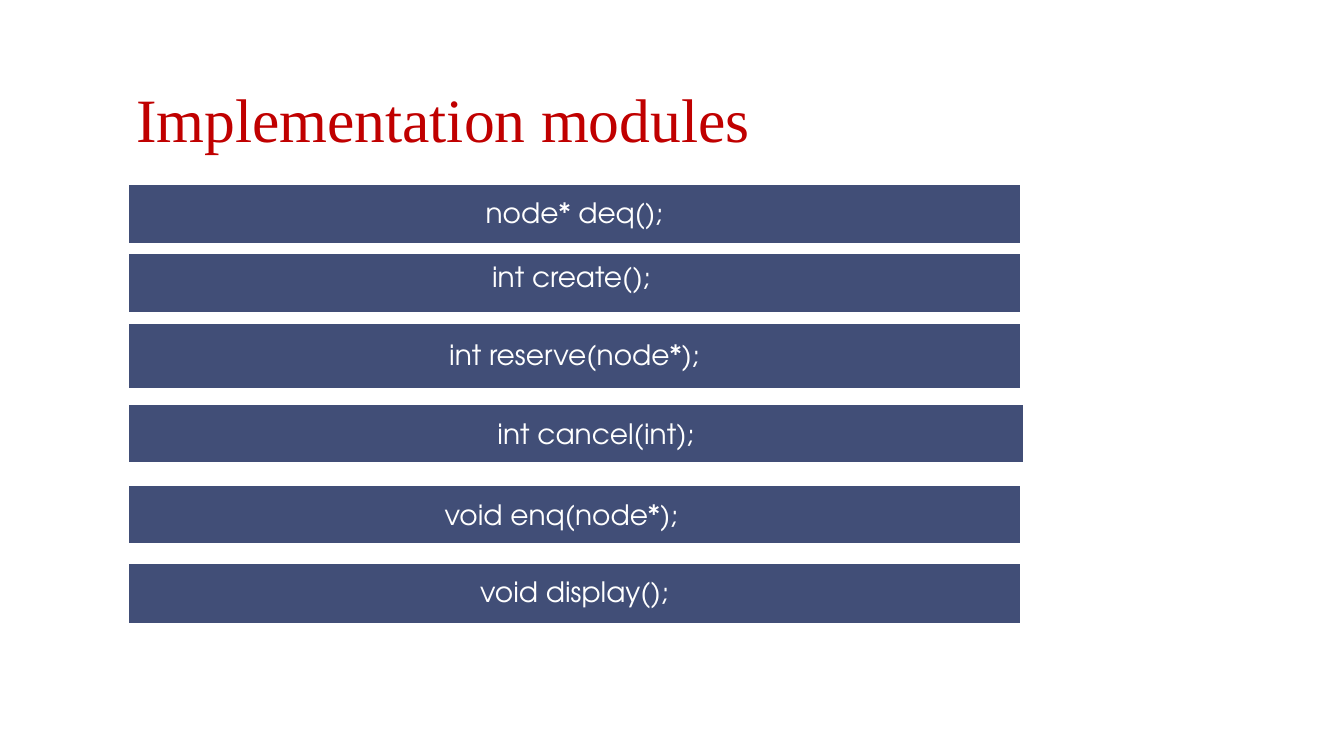
from pptx import Presentation
from pptx.dml.color import RGBColor
from pptx.enum.shapes import MSO_SHAPE
from pptx.enum.text import MSO_ANCHOR, PP_ALIGN
from pptx.util import Cm, Pt

RECT = MSO_SHAPE.RECTANGLE
TOP, MID, LOW = MSO_ANCHOR.TOP, MSO_ANCHOR.MIDDLE, MSO_ANCHOR.BOTTOM
LEFT, MIDST = PP_ALIGN.LEFT, PP_ALIGN.CENTER
HUES = {"red": "C00000", "navy": "414E77", "white": "FFFFFF"}


def write(shape, text, font="TeX Gyre Adventor", size=20, hue="white",
          align=MIDST, anchor=MID, space=0.9, left=1, right=1, edge=0.15):
    frame = shape.text_frame
    frame.word_wrap = True
    frame.vertical_anchor = anchor
    frame.margin_left, frame.margin_right = Cm(left), Cm(right)
    frame.margin_top = frame.margin_bottom = Cm(edge)
    line = frame.paragraphs[0]
    line.alignment = align
    line.line_spacing = space
    run = line.add_run()
    run.text = text
    run.font.name = font
    run.font.size = Pt(size)
    run.font.color.rgb = RGBColor.from_string(HUES[hue])


deck = Presentation()
deck.slide_width, deck.slide_height = Cm(33.87), Cm(19.05)
slide = deck.slides.add_slide(deck.slide_layouts[5])
fill = slide.background.fill
fill.solid()
fill.fore_color.rgb = RGBColor.from_string(HUES["white"])

title = slide.shapes.title
title.left, title.top = Cm(3.1), Cm(0.2)
title.width, title.height = Cm(28.22), Cm(3.89)
write(title, "Implementation modules", font="Times New Roman", size=44,
      hue="red", align=LEFT, anchor=LOW, space=0.85,
      left=0.33, right=0.33, edge=0.18)

bars = [
    ("node* deq();", 4.65, 22.5, 1.5, 0, MID, 0.9),
    ("int create();", 6.38, 22.5, 1.5, -0.08, TOP, 1.0),
    ("int reserve(node*);", 8.16, 22.5, 1.63, 0, MID, 0.9),
    ("int cancel(int);", 10.19, 22.58, 1.47, 0.5, MID, 1.0),
    ("void enq(node*);", 12.22, 22.5, 1.47, -0.33, MID, 1.0),
    ("void display();", 14.2, 22.5, 1.52, 0, MID, 0.9),
]
for text, top, width, height, shift, anchor, space in bars:
    bar = slide.shapes.add_shape(RECT, Cm(3.23), Cm(top), Cm(width), Cm(height))
    bar.shadow.inherit = False
    bar.fill.solid()
    bar.fill.fore_color.rgb = RGBColor.from_string(HUES["navy"])
    bar.line.color.rgb = RGBColor.from_string(HUES["white"])
    bar.line.width = Pt(1)
    write(bar, text, anchor=anchor, space=space, left=1 + shift, right=1 - shift)

deck.save("out.pptx")
